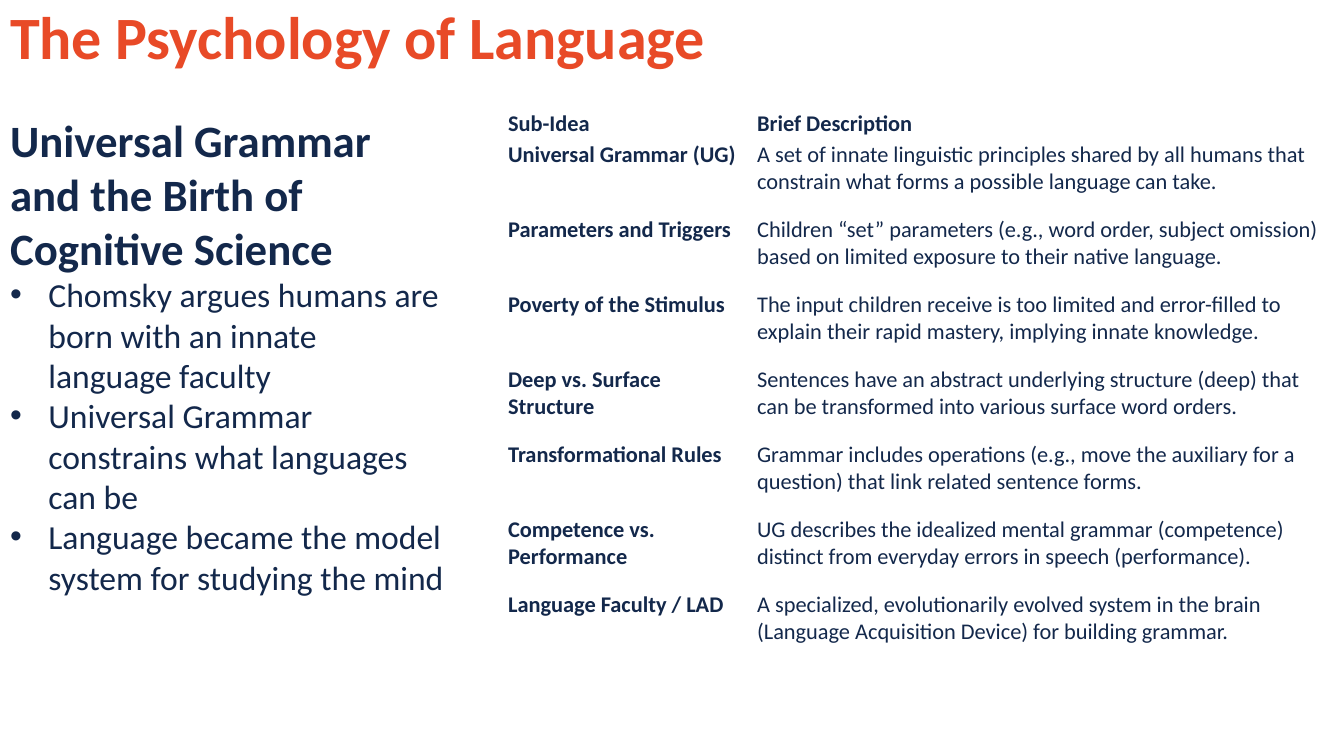
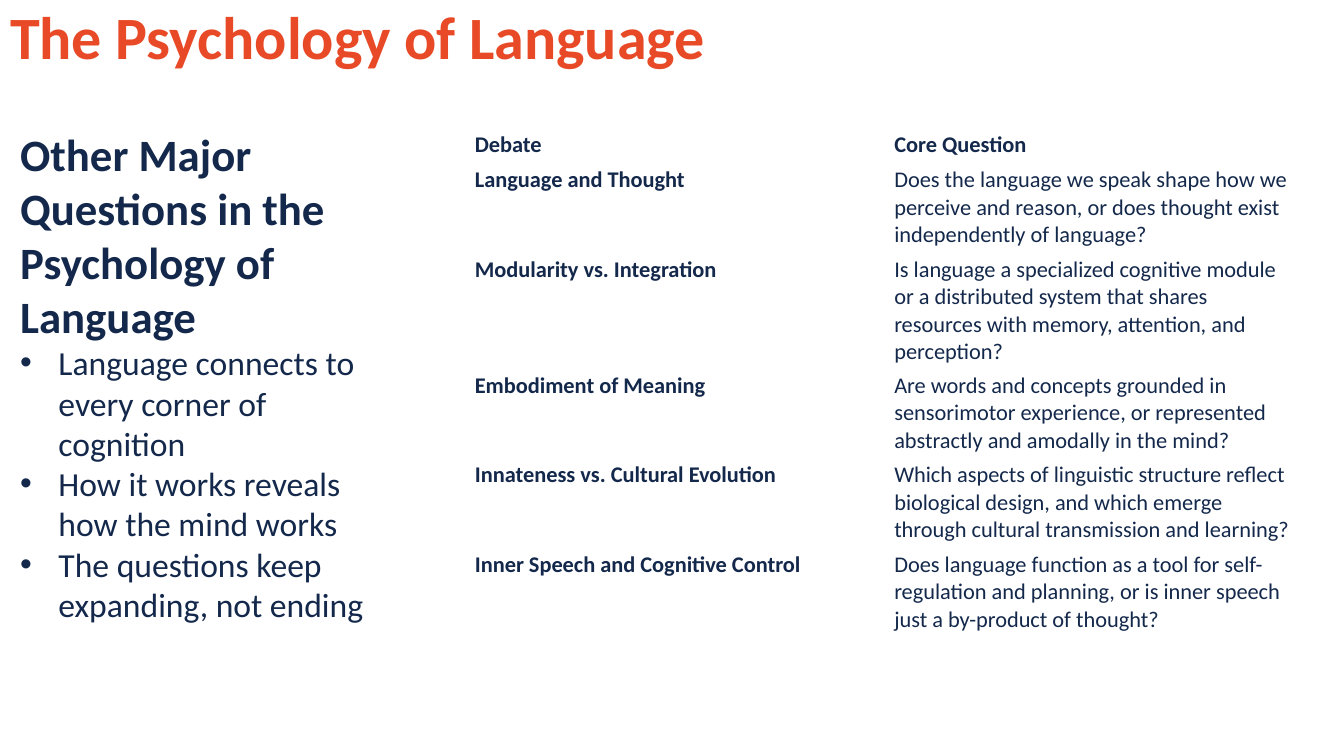
import pptx
import pptx.dml.color
import pptx.enum.text
import pptx.oxml.xmlchemy
import pptx.util

Inches = pptx.util.Inches
Anchor = pptx.enum.text.MSO_ANCHOR
AutoSize = pptx.enum.text.MSO_AUTO_SIZE

# Content
TITLE = "The Psychology of Language"
PAGES = [
    {
        "heading": "Universal Grammar and the Birth of Cognitive Science",
        "bullets": [
            "Chomsky argues humans are born with an innate language faculty",
            "Universal Grammar constrains what languages can be",
            "Language became the model system for studying the mind",
        ],
        "body_place": (0, 1.07, 4.51, 4.95),
        "table_place": (5, 1.07),
        "columns": [2.47, 5.74],
        "row_heights": [0.31] + [0.744] * 6 + [0.58],
        "margins": (0.04, 0.02),
        "answer_anchor": Anchor.TOP,
        "rows": [
            ("Sub-Idea", "Brief Description"),
            ("Universal Grammar (UG)",
             "A set of innate linguistic principles shared by all humans that "
             "constrain what forms a possible language can take."),
            ("Parameters and Triggers",
             "Children “set” parameters (e.g., word order, subject omission) "
             "based on limited exposure to their native language."),
            ("Poverty of the Stimulus",
             "The input children receive is too limited and error-filled to "
             "explain their rapid mastery, implying innate knowledge."),
            ("Deep vs. Surface Structure",
             "Sentences have an abstract underlying structure (deep) that "
             "can be transformed into various surface word orders."),
            ("Transformational Rules",
             "Grammar includes operations (e.g., move the auxiliary for a "
             "question) that link related sentence forms."),
            ("Competence vs. Performance",
             "UG describes the idealized mental grammar (competence) "
             "distinct from everyday errors in speech (performance)."),
            ("Language Faculty / LAD",
             "A specialized, evolutionarily evolved system in the brain "
             "(Language Acquisition Device) for building grammar."),
        ],
    },
    {
        "heading": "Other Major Questions in the Psychology of Language",
        "bullets": [
            "Language connects to every corner of cognition",
            "How it works reveals how the mind works",
            "The questions keep expanding, not ending",
        ],
        "body_place": (0.1, 1.21, 3.68, 5.08),
        "table_place": (4.62, 1.26),
        "columns": [4.16, 4.16],
        "row_heights": [0.35, 0.89, 1.15, 0.89, 0.89, 0.89],
        "margins": (0.09, 0.04),
        "answer_anchor": Anchor.MIDDLE,
        "rows": [
            ("Debate", "Core Question"),
            ("Language and Thought",
             "Does the language we speak shape how we perceive and reason, "
             "or does thought exist independently of language?"),
            ("Modularity vs. Integration",
             "Is language a specialized cognitive module or a distributed "
             "system that shares resources with memory, attention, and perception?"),
            ("Embodiment of Meaning",
             "Are words and concepts grounded in sensorimotor experience, or "
             "represented abstractly and amodally in the mind?"),
            ("Innateness vs. Cultural Evolution",
             "Which aspects of linguistic structure reflect biological design, "
             "and which emerge through cultural transmission and learning?"),
            ("Inner Speech and Cognitive Control",
             "Does language function as a tool for self-regulation and planning, "
             "or is inner speech just a by-product of thought?"),
        ],
    },
]

# Shared style
ORANGE, NAVY = "E84A27", "13284B"
TITLE_PLACE = (0, 0, 12.56, 0.8)
BULLET_INDENT = 0.38
TITLE_FONT = {"size": 42.9, "bold": True, "color": ORANGE}
HEADING_FONT = {"size": 32, "bold": True, "color": NAVY}
BULLET_FONT = {"size": 24, "bold": False, "color": NAVY}
LABEL_FONT = {"size": 16, "bold": True, "color": NAVY}
ANSWER_FONT = {**LABEL_FONT, "bold": False}


def rgb(color):
    return pptx.dml.color.RGBColor.from_string(color)


def set_all(target, values):
    for name, value in values.items():
        setattr(target, name, value)


def write(para, text, size, bold, color, line_spacing=1.0):
    span = para.add_run()
    span.text = text
    set_all(span.font, {"name": "Calibri", "size": pptx.util.Pt(size), "bold": bold})
    span.font.color.rgb = rgb(color)
    set_all(para, {
        "alignment": pptx.enum.text.PP_ALIGN.LEFT,
        "line_spacing": line_spacing,
        "space_before": pptx.util.Pt(0),
        "space_after": pptx.util.Pt(0),
    })


def set_bullet(para, char=None):
    properties = para._p.get_or_add_pPr()
    indent = Inches(BULLET_INDENT) if char else 0
    properties.set("marL", str(indent))
    properties.set("indent", str(-indent))
    mark = pptx.oxml.xmlchemy.OxmlElement("a:buChar" if char else "a:buNone")
    if char:
        mark.set("char", char)
    properties.append(mark)


def move(box, place):
    names = ("left", "top", "width", "height")
    set_all(box, dict(zip(names, map(Inches, place))))


def add_title(page):
    box = page.shapes.title
    move(box, TITLE_PLACE)
    set_all(box.text_frame, {
        "auto_size": AutoSize.NONE,
        "vertical_anchor": Anchor.MIDDLE,
        "word_wrap": True,
    })
    write(box.text_frame.paragraphs[0], TITLE, **TITLE_FONT, line_spacing=0.9)


def add_body(page, content):
    box = page.placeholders[1]
    move(box, content["body_place"])
    frame = box.text_frame
    set_all(frame, {
        "auto_size": AutoSize.SHAPE_TO_FIT_TEXT,
        "vertical_anchor": Anchor.TOP,
        "word_wrap": True,
    })
    set_bullet(frame.paragraphs[0])
    write(frame.paragraphs[0], content["heading"], **HEADING_FONT)
    for text in content["bullets"]:
        para = frame.add_paragraph()
        set_bullet(para, "•")
        write(para, text, **BULLET_FONT)


def add_grid(page, content):
    rows, columns, heights = (content[key] for key in ("rows", "columns", "row_heights"))
    place = (*content["table_place"], sum(columns), sum(heights))
    grid = page.shapes.add_table(len(rows), len(columns), *map(Inches, place)).table
    set_all(grid, {"first_row": False, "horz_banding": False})
    for column, width in zip(grid.columns, columns):
        column.width = Inches(width)
    for row, height in zip(grid.rows, heights):
        row.height = Inches(height)

    side, edge = map(Inches, content["margins"])
    for row_index, texts in enumerate(rows):
        for column_index, text in enumerate(texts):
            cell = grid.cell(row_index, column_index)
            is_header, is_answer = row_index == 0, column_index == 1
            anchor = content["answer_anchor"] if is_answer else Anchor.TOP
            set_all(cell, {
                "margin_left": side, "margin_right": side,
                "margin_top": edge, "margin_bottom": edge,
                "vertical_anchor": Anchor.MIDDLE if is_header else anchor,
            })
            cell.fill.background()
            font = ANSWER_FONT if is_answer and not is_header else LABEL_FONT
            write(cell.text_frame.paragraphs[0], text, **font)


def main():
    deck = pptx.Presentation()
    deck.slide_width, deck.slide_height = Inches(13.33), Inches(7.5)
    for content in PAGES:
        page = deck.slides.add_slide(deck.slide_layouts[1])
        add_title(page)
        add_body(page, content)
        add_grid(page, content)
    deck.save("out.pptx")


if __name__ == "__main__":
    main()
